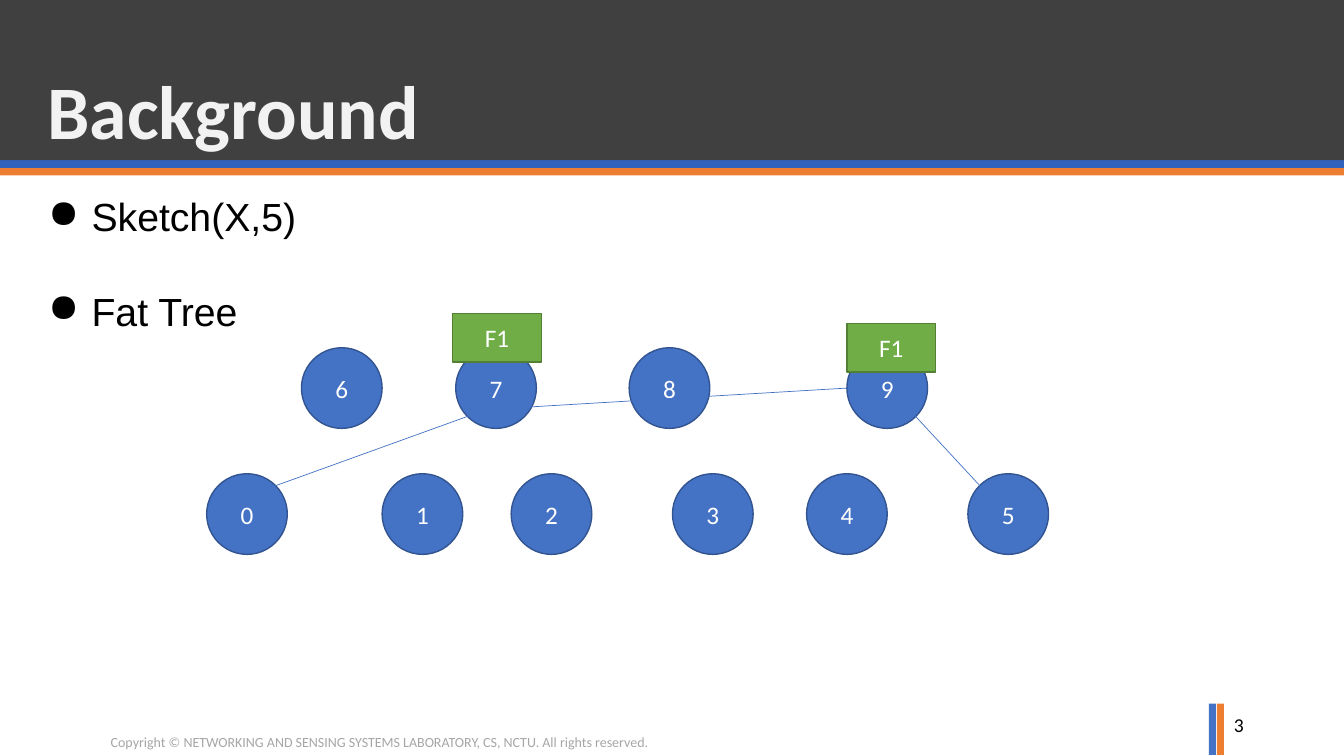
from dataclasses import dataclass

from lxml import etree
from pptx import Presentation
from pptx.dml.color import RGBColor
from pptx.enum import shapes, text
from pptx.oxml import ns
from pptx.util import Inches, Pt


@dataclass(frozen=True)
class Theme:
    heading_font: str = "Calibri"
    body_font: str = "Arial"
    title_size: int = 54
    body_size: int = 28
    node_size: int = 18
    number_size: int = 14
    copyright_size: int = 10
    charcoal: str = "404040"
    blue: str = "4472C4"
    blue_edge: str = "325491"
    band_light: str = "6183CB"
    band_dark: str = "3062BB"
    orange: str = "ED7D31"
    green: str = "70AD47"
    green_edge: str = "538035"
    off_white: str = "F2F2F2"
    white: str = "FFFFFF"
    black: str = "000000"
    gray: str = "A6A6A6"


@dataclass(frozen=True)
class Block:
    left: float
    top: float
    width: float
    height: float
    fill: str
    edge: str = ""
    label: str = ""
    outline: shapes.MSO_SHAPE = shapes.MSO_SHAPE.RECTANGLE


@dataclass(frozen=True)
class Link:
    x1: float
    y1: float
    x2: float
    y2: float


THEME = Theme()
SLIDE_WIDTH, SLIDE_HEIGHT = 13.33, 7.5
BAND_TOP = -0.03
NODE_DIAMETER = 0.8
TREE_ROWS = {
    3.45: {"6": 2.99, "7": 4.52, "8": 6.24, "9": 8.4},
    4.7: {"0": 2.05, "1": 3.79, "2": 5.07, "3": 6.67, "4": 8, "5": 9.6},
}
LINKS = [
    Link(4.64, 4.13, 2.73, 4.82),
    Link(5.21, 4.04, 8.4, 3.85),
    Link(9.08, 4.13, 9.72, 4.82),
]
FLOW_TAGS = [
    Block(left, top, 0.88, 0.48, THEME.green, THEME.green_edge, "F1")
    for left, top in ((4.49, 3.11), (8.4, 3.21))
]


def style(paragraph, font: str, size: int, color: str, bold: bool = False) -> None:
    paragraph.font.name = font
    paragraph.font.size = Pt(size)
    paragraph.font.bold = bold
    paragraph.font.color.rgb = RGBColor.from_string(color)


def draw_block(slide, block: Block):
    shape = slide.shapes.add_shape(
        block.outline,
        *map(Inches, (block.left, block.top, block.width, block.height)),
    )
    shape.shadow.inherit = False
    shape.fill.solid()
    shape.fill.fore_color.rgb = RGBColor.from_string(block.fill)
    if block.edge:
        shape.line.color.rgb = RGBColor.from_string(block.edge)
        shape.line.width = Pt(1)
    else:
        shape.line.fill.background()
    if block.label:
        shape.text_frame.text = block.label
        shape.text_frame.vertical_anchor = text.MSO_ANCHOR.MIDDLE
        label = shape.text_frame.paragraphs[0]
        label.alignment = text.PP_ALIGN.CENTER
        style(label, THEME.heading_font, THEME.node_size, THEME.white)
    return shape


def draw_link(slide, link: Link) -> None:
    connector = slide.shapes.add_connector(
        shapes.MSO_CONNECTOR.STRAIGHT,
        *map(Inches, (link.x1, link.y1, link.x2, link.y2)),
    )
    connector.line.color.rgb = RGBColor.from_string(THEME.blue)
    connector.line.width = Pt(0.5)
    etree.SubElement(connector._element.spPr, ns.qn("a:effectLst"))


def add_frame(slide, left: float, top: float, width: float, height: float):
    frame = slide.shapes.add_textbox(*map(Inches, (left, top, width, height))).text_frame
    frame.word_wrap = True
    return frame


def draw_header(slide) -> None:
    draw_block(slide, Block(0, BAND_TOP, SLIDE_WIDTH, 1.77, THEME.orange))
    blue_band = draw_block(slide, Block(0, BAND_TOP, SLIDE_WIDTH, 1.7, THEME.blue))
    blue_band.fill.gradient()
    blue_band.fill.gradient_angle = 270
    for stop, color in zip(
        blue_band.fill.gradient_stops, (THEME.band_light, THEME.band_dark)
    ):
        stop.color.rgb = RGBColor.from_string(color)
    draw_block(slide, Block(0, BAND_TOP, SLIDE_WIDTH, 1.62, THEME.charcoal))


def draw_title(slide) -> None:
    title = slide.shapes.title
    title.left, title.top, title.width, title.height = map(
        Inches, (0.37, 0.38, 12.6, 1.22)
    )
    title.text_frame.text = "Background"
    title.text_frame.auto_size = text.MSO_AUTO_SIZE.NONE
    title.text_frame.vertical_anchor = text.MSO_ANCHOR.BOTTOM
    heading = title.text_frame.paragraphs[0]
    heading.alignment = text.PP_ALIGN.LEFT
    heading.line_spacing = 0.9
    style(heading, THEME.heading_font, THEME.title_size, THEME.off_white, bold=True)
    tree = slide.shapes._spTree
    tree.remove(title._element)
    tree.append(title._element)


def draw_topics(slide) -> None:
    topics = add_frame(slide, 0.37, 1.86, 12.6, 5.04)
    topics.text = "Sketch(X,5)\nFat Tree"
    for topic in topics.paragraphs:
        properties = topic._p.get_or_add_pPr()
        properties.set("marL", str(Inches(0.44)))
        properties.set("indent", str(Inches(-0.43)))
        etree.SubElement(properties, ns.qn("a:buChar"), char="●")
        style(topic, THEME.body_font, THEME.body_size, THEME.black)
    topics.paragraphs[1].space_before = Pt(34)


def draw_footer(slide) -> None:
    for left, color in ((11.99, THEME.blue), (12.07, THEME.orange)):
        draw_block(slide, Block(left, 6.98, 0.07, 0.51, color))
    notice = add_frame(slide, 1, 7.23, 12.33, 0.27)
    notice.text = (
        "Copyright © NETWORKING AND SENSING SYSTEMS LABORATORY, CS, NCTU. "
        "All rights reserved."
    )
    style(notice.paragraphs[0], THEME.heading_font, THEME.copyright_size, THEME.gray)
    page = add_frame(slide, 12.14, 6.98, 0.83, 0.4)
    page.text = "3"
    page.paragraphs[0].line_spacing = Pt(20)
    style(page.paragraphs[0], THEME.heading_font, THEME.number_size, THEME.black)


def draw_tree(slide) -> None:
    for top, row in TREE_ROWS.items():
        for label, left in row.items():
            draw_block(slide, Block(
                left, top, NODE_DIAMETER, NODE_DIAMETER, THEME.blue,
                THEME.blue_edge, label, shapes.MSO_SHAPE.OVAL,
            ))
    for link in LINKS:
        draw_link(slide, link)
    for tag in FLOW_TAGS:
        draw_block(slide, tag)


def main() -> None:
    deck = Presentation()
    deck.slide_width, deck.slide_height = Inches(SLIDE_WIDTH), Inches(SLIDE_HEIGHT)
    slide = deck.slides.add_slide(deck.slide_layouts[5])
    draw_header(slide)
    draw_footer(slide)
    draw_title(slide)
    draw_topics(slide)
    draw_tree(slide)
    deck.save("out.pptx")


if __name__ == "__main__":
    main()
